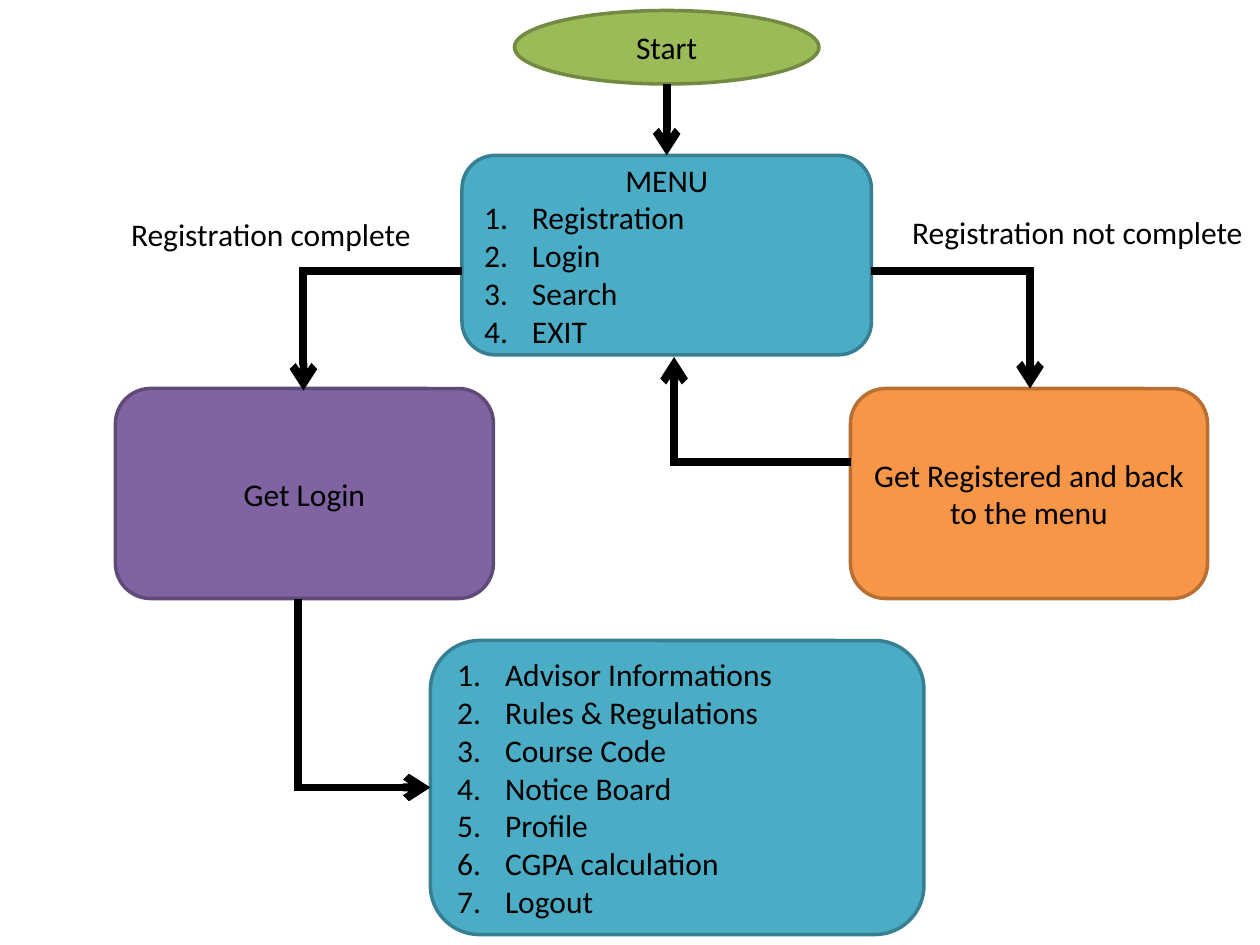
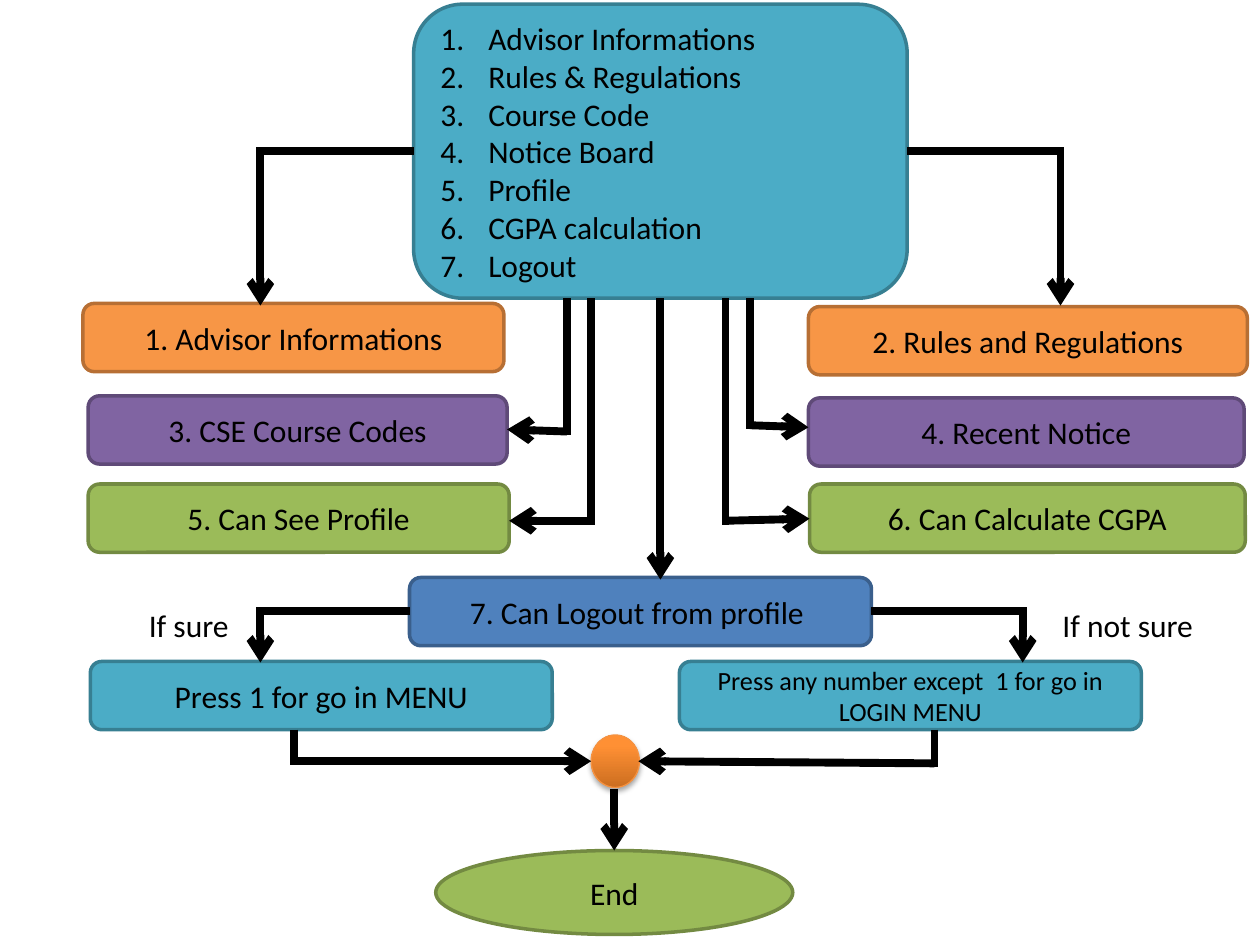
from dataclasses import dataclass
from itertools import pairwise
from math import hypot

from lxml.etree import SubElement
from pptx import Presentation
from pptx.dml.color import RGBColor
from pptx.enum.shapes import MSO_CONNECTOR as Connector, MSO_SHAPE as Preset
from pptx.enum.text import MSO_ANCHOR as Anchor, MSO_AUTO_SIZE as AutoSize, PP_ALIGN as Align
from pptx.oxml.ns import qn
from pptx.shapes.autoshape import Shape
from pptx.slide import Slide
from pptx.text.text import TextFrame
from pptx.util import Inches, Pt

# Shared look: each fill has a darker outline
COLORS = {
    "ink": "000000",
    "green": "9BBB59", "green line": "738A42",
    "teal": "4BACC6", "teal line": "377F92",
    "orange": "F79646", "orange line": "B76F34",
    "purple": "8064A2", "purple line": "5F4A78",
    "blue": "4F81BD", "blue line": "3A5F8C",
    "ball dark": "CC6E20", "ball light": "FF9034", "ball line": "F69240",
}
FONT = "Calibri"
TEXT_SIZE = 18
TWO_LINE_SIZE = 15
ROUTE_WIDTH = Pt(4.5)
NUMBER_INDENT = Inches(0.38)

# Grid: 120 columns by 90 rows of square cells
COLUMNS = 120
SLIDE_WIDTH, SLIDE_HEIGHT = Inches(10), Inches(7.5)
BAR_HEIGHT = 6.5
HALF_ROUTE = ROUTE_WIDTH / 2 * COLUMNS / SLIDE_WIDTH
OPTIONS = ("Advisor Informations", "Rules & Regulations", "Course Code", "Notice Board",
           "Profile", "CGPA calculation", "Logout")

Point = tuple[float, float]


@dataclass
class Box:
    left: float
    top: float
    width: float
    height: float
    color: str
    heading: str = ""
    numbered: tuple[str, ...] = ()
    preset: Preset = Preset.ROUNDED_RECTANGLE
    text_size: int = TEXT_SIZE


@dataclass
class Label:
    left: float
    top: float
    width: float
    text: str


@dataclass
class Chart:
    boxes: list[Box]
    routes: list[list[Point]]
    labels: list[Label]


def cells(count: float) -> int:
    return round(count * SLIDE_WIDTH / COLUMNS)


def rgb(name: str) -> RGBColor:
    return RGBColor.from_string(COLORS[name])


def add_line(frame: TextFrame, text: str, first: bool, align: Align,
             numbered: bool = False, size: int = TEXT_SIZE) -> None:
    paragraph = frame.paragraphs[0] if first else frame.add_paragraph()
    paragraph.alignment = align
    run = paragraph.add_run()
    run.text = text
    run.font.name, run.font.size = FONT, Pt(size)
    run.font.color.rgb = rgb("ink")
    if numbered:
        properties = paragraph._p.get_or_add_pPr()
        properties.set("marL", str(NUMBER_INDENT))
        properties.set("indent", str(-NUMBER_INDENT))
        SubElement(properties, qn("a:buFont"), typeface="+mj-lt")
        SubElement(properties, qn("a:buAutoNum"), type="arabicPeriod")


def add_shape(slide: Slide, box: Box) -> Shape:
    shape = slide.shapes.add_shape(box.preset, cells(box.left), cells(box.top),
                                   cells(box.width), cells(box.height))
    shape.shadow.inherit = False
    shape.line.color.rgb = rgb(f"{box.color} line")
    shape.line.width = Pt(2)
    return shape


def draw_box(slide: Slide, box: Box) -> None:
    shape = add_shape(slide, box)
    shape.fill.solid()
    shape.fill.fore_color.rgb = rgb(box.color)
    frame = shape.text_frame
    frame.word_wrap = True
    frame.vertical_anchor = Anchor.MIDDLE
    frame.margin_top = frame.margin_bottom = 0
    if box.heading:
        add_line(frame, box.heading, True, Align.CENTER, size=box.text_size)
    for index, item in enumerate(box.numbered):
        add_line(frame, item, index == 0 and not box.heading, Align.LEFT, numbered=True)


def past_corner(start: Point, end: Point) -> Point:
    """Lengthen a leg by half the line width, so that the corner closes."""
    share = HALF_ROUTE / hypot(end[0] - start[0], end[1] - start[1])
    return end[0] + (end[0] - start[0]) * share, end[1] + (end[1] - start[1]) * share


def draw_route(slide: Slide, points: list[Point]) -> None:
    """Join the points with straight legs; the last one carries the arrowhead."""
    legs = list(pairwise(points))
    for index, (start, end) in enumerate(legs):
        is_last = index == len(legs) - 1
        tip = end if is_last else past_corner(start, end)
        connector = slide.shapes.add_connector(
            Connector.STRAIGHT, *(cells(value) for value in start + tip))
        connector.line.color.rgb = rgb("ink")
        connector.line.width = ROUTE_WIDTH
        if is_last:
            SubElement(connector.line._get_or_add_ln(), qn("a:tailEnd"), type="arrow")
        SubElement(connector._element.spPr, qn("a:effectLst"))


def draw_label(slide: Slide, label: Label) -> None:
    text_box = slide.shapes.add_textbox(cells(label.left), cells(label.top),
                                        cells(label.width), Inches(0.4))
    frame = text_box.text_frame
    frame.word_wrap = False
    frame.auto_size = AutoSize.SHAPE_TO_FIT_TEXT
    add_line(frame, label.text, True, Align.LEFT)


def draw_junction(slide: Slide, box: Box) -> None:
    """A shaded ball with a soft shadow where two routes meet."""
    shape = add_shape(slide, box)
    shape.line.width = Pt(0.75)
    shape.fill.gradient()
    shape.fill.gradient_angle = 90
    for stop, position, name in zip(shape.fill.gradient_stops, (0, 0.8), ("ball dark", "ball light")):
        stop.position = position
        stop.color.rgb = rgb(name)
    effects = shape._element.spPr.find(qn("a:effectLst"))
    shadow = SubElement(effects, qn("a:outerShdw"), blurRad=str(Pt(3.1)), dist=str(Pt(1.8)),
                        dir="5400000", rotWithShape="0")
    color = SubElement(shadow, qn("a:srgbClr"), val=COLORS["ink"])
    SubElement(color, qn("a:alpha"), val="35000")


def draw_chart(slide: Slide, chart: Chart) -> None:
    for box in chart.boxes:
        draw_box(slide, box)
    for route in chart.routes:
        draw_route(slide, route)
    for label in chart.labels:
        draw_label(slide, label)


def bar(left: float, top: float, width: float, color: str, text: str,
        text_size: int = TEXT_SIZE) -> Box:
    return Box(left, top, width, BAR_HEIGHT, color, text, text_size=text_size)


def options_box(left: float, top: float) -> Box:
    return Box(left, top, 47, 28, "teal", numbered=OPTIONS)


# Slide 1: from start to the options after login
LOGIN_CHART = Chart(
    boxes=[
        Box(49, 1, 29, 7, "green", "Start", preset=Preset.OVAL),
        Box(44, 14.8, 39, 19, "teal", "MENU", ("Registration", "Login", "Search", "EXIT")),
        Box(81, 37, 34, 20, "orange", "Get Registered and back to the menu"),
        Box(11, 37, 36, 20, "purple", "Get Login"),
        options_box(41, 61),
    ],
    routes=[
        [(63.5, 8), (63.5, 14.8)],
        [(83, 25.8), (98.1, 25.8), (98.1, 37)],
        [(44, 25.8), (28.9, 25.8), (28.9, 37.2)],
        [(81, 44), (64.2, 44), (64.2, 34)],
        [(28.4, 57), (28.4, 75), (41, 75)],
    ],
    labels=[
        Label(11.3, 19.9, 29.4, "Registration complete"),
        Label(85.7, 19.7, 34.3, "Registration not complete"),
    ],
)

# Slide 2: from the options to the end
OPTIONS_BOTTOM = 28.4
OPTIONS_CHART = Chart(
    boxes=[
        bar(7.9, 28.9, 40.1, "orange", "1. Advisor Informations"),
        bar(77, 29.2, 41.8, "orange", "2. Rules and Regulations"),
        bar(8.4, 37.7, 39.9, "purple", "3. CSE Course Codes"),
        bar(77, 37.9, 41.5, "purple", "4. Recent Notice"),
        bar(8.4, 46.1, 40.1, "green", "5. Can See Profile"),
        bar(77.1, 46.1, 41.5, "green", "6. Can Calculate CGPA"),
        bar(39, 55, 44, "blue", "7. Can Logout from profile "),
        bar(8.6, 63, 44, "teal", "Press 1 for go in MENU"),
        bar(64.7, 63, 44, "teal", "Press any number except  1 for go in LOGIN MENU", TWO_LINE_SIZE),
        Box(41.5, 81, 34, 8, "green", "End", preset=Preset.OVAL),
        options_box(39.4, OPTIONS_BOTTOM - 28),
    ],
    routes=[
        [(39.4, 14.4), (24.8, 14.4), (24.8, 29.1)],
        [(86.4, 14.4), (101, 14.4), (101, 29.1)],
        [(54, OPTIONS_BOTTOM), (54, 41.1), (48.3, 40.9)],
        [(71.4, OPTIONS_BOTTOM), (71.4, 40.5), (77, 40.7)],
        [(56.3, OPTIONS_BOTTOM), (56.3, 49.6), (48.5, 49.6)],
        [(69.1, OPTIONS_BOTTOM), (69.1, 49.6), (77.1, 49.4)],
        [(62.9, OPTIONS_BOTTOM), (62.9, 55.2)],
        [(39, 58.2), (24.8, 58.2), (24.8, 63.1)],
        [(83, 58.2), (97.4, 58.2), (97.4, 63.1)],
        [(28, 69.5), (28, 72.5), (56.3, 72.5)],
        [(89, 69.5), (89, 72.7), (60.8, 72.5)],
        [(58.5, 75.1), (58.5, 81)],
    ],
    labels=[
        Label(13, 57.1, 10.1, "If sure"),
        Label(100, 57.1, 15, "If not sure"),
    ],
)
JUNCTION = Box(56.3, 70, 4.6, 5, "ball", preset=Preset.OVAL)

presentation = Presentation()
presentation.slide_width, presentation.slide_height = SLIDE_WIDTH, SLIDE_HEIGHT
blank_layout = presentation.slide_layouts[6]

login_slide = presentation.slides.add_slide(blank_layout)
draw_chart(login_slide, LOGIN_CHART)

options_slide = presentation.slides.add_slide(blank_layout)
draw_junction(options_slide, JUNCTION)
draw_chart(options_slide, OPTIONS_CHART)

presentation.save("out.pptx")
